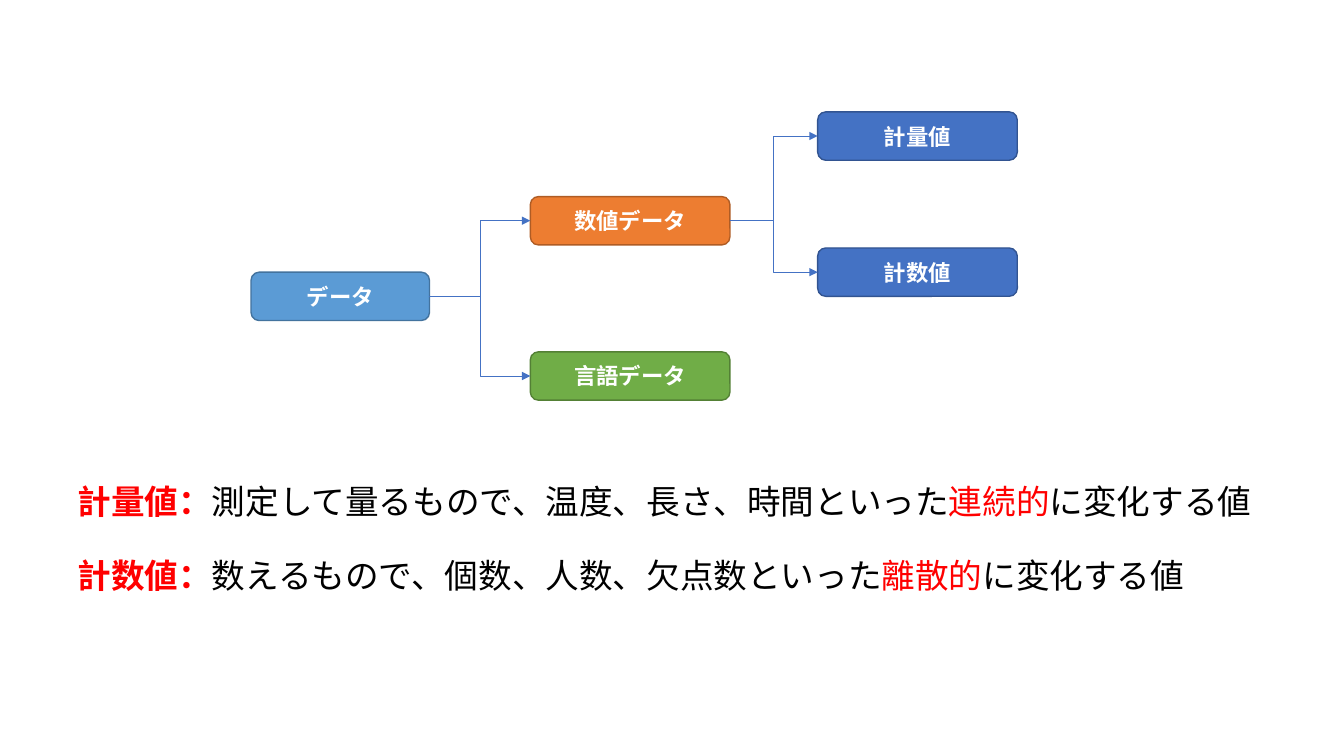
import pptx
import pptx.util
import pptx.dml.color
import pptx.enum.shapes
import pptx.enum.text
import pptx.oxml.ns
import lxml.etree

Inches = pptx.util.Inches
Pt = pptx.util.Pt
qn = pptx.oxml.ns.qn
FONT = "Noto Sans CJK JP"


def paint(color, code):
    color.rgb = pptx.dml.color.RGBColor.from_string(code)


def write(para, text, size, code, bold):
    run = para.add_run()
    run.text = text
    run.font.size = Pt(size)
    run.font.bold = bold
    run.font.name = FONT
    paint(run.font.color, code)
    east = lxml.etree.SubElement(run.font._element, qn("a:ea"))
    east.set("typeface", FONT)


deck = pptx.Presentation()
deck.slide_width = Inches(13.33)
deck.slide_height = Inches(7.5)
slide = deck.slides.add_slide(deck.slide_layouts[6])

# Boxes of the tree: text, left, top, width, fill, line
nodes = [
    ("データ", 2.49, 2.7, 1.77, "5B9BD5", "43739E"),
    ("数値データ", 5.26, 1.95, 1.98, "ED7D31", "AF5C24"),
    ("言語データ", 5.26, 3.49, 1.98, "70AD47", "538035"),
    ("計量値", 8.11, 1.11, 1.98, "4472C4", "325491"),
    ("計数値", 8.11, 2.46, 1.98, "4472C4", "325491"),
]
boxes = {}
for text, left, top, width, fill, edge in nodes:
    box = slide.shapes.add_shape(
        pptx.enum.shapes.MSO_SHAPE.FLOWCHART_ALTERNATE_PROCESS,
        Inches(left), Inches(top), Inches(width), Inches(0.48))
    box.shadow.inherit = False
    box.fill.solid()
    paint(box.fill.fore_color, fill)
    paint(box.line.color, edge)
    box.line.width = Pt(1)
    box.text_frame.vertical_anchor = pptx.enum.text.MSO_ANCHOR.MIDDLE
    para = box.text_frame.paragraphs[0]
    para.alignment = pptx.enum.text.PP_ALIGN.CENTER
    write(para, text, 16, "FFFFFF", True)
    boxes[text] = box

# Elbow arrows from the right side (3) to the left side (1)
links = [
    ("データ", "数値データ"),
    ("データ", "言語データ"),
    ("数値データ", "計数値"),
    ("数値データ", "計量値"),
]
for start, end in links:
    link = slide.shapes.add_connector(
        pptx.enum.shapes.MSO_CONNECTOR.ELBOW, 0, 0, 0, 0)
    link.begin_connect(boxes[start], 3)
    link.end_connect(boxes[end], 1)
    paint(link.line.color, "4472C4")
    link.line.width = Pt(0.5)
    head = lxml.etree.SubElement(link.line._get_or_add_ln(), qn("a:tailEnd"))
    head.set("type", "triangle")
    lxml.etree.SubElement(link._element.spPr, qn("a:effectLst"))

# Definitions: term, start, key word, end
terms = [
    ("計量値：", "測定して量るもので、温度、長さ、時間といった", "連続的", "に変化する値"),
    ("計数値：", "数えるもので、個数、人数、欠点数といった", "離散的", "に変化する値"),
]
note = slide.shapes.add_textbox(
    Inches(0.67), Inches(4.72), Inches(11.99), Inches(1.72))
frame = note.text_frame
frame.word_wrap = True
for index, (term, start, key, end) in enumerate(terms):
    para = frame.paragraphs[0] if index == 0 else frame.add_paragraph()
    if index:
        para.space_before = Pt(24)
    write(para, term, 24, "FF0000", True)
    write(para, start, 24, "000000", False)
    write(para, key, 24, "FF0000", False)
    write(para, end, 24, "000000", False)

deck.save("out.pptx")
